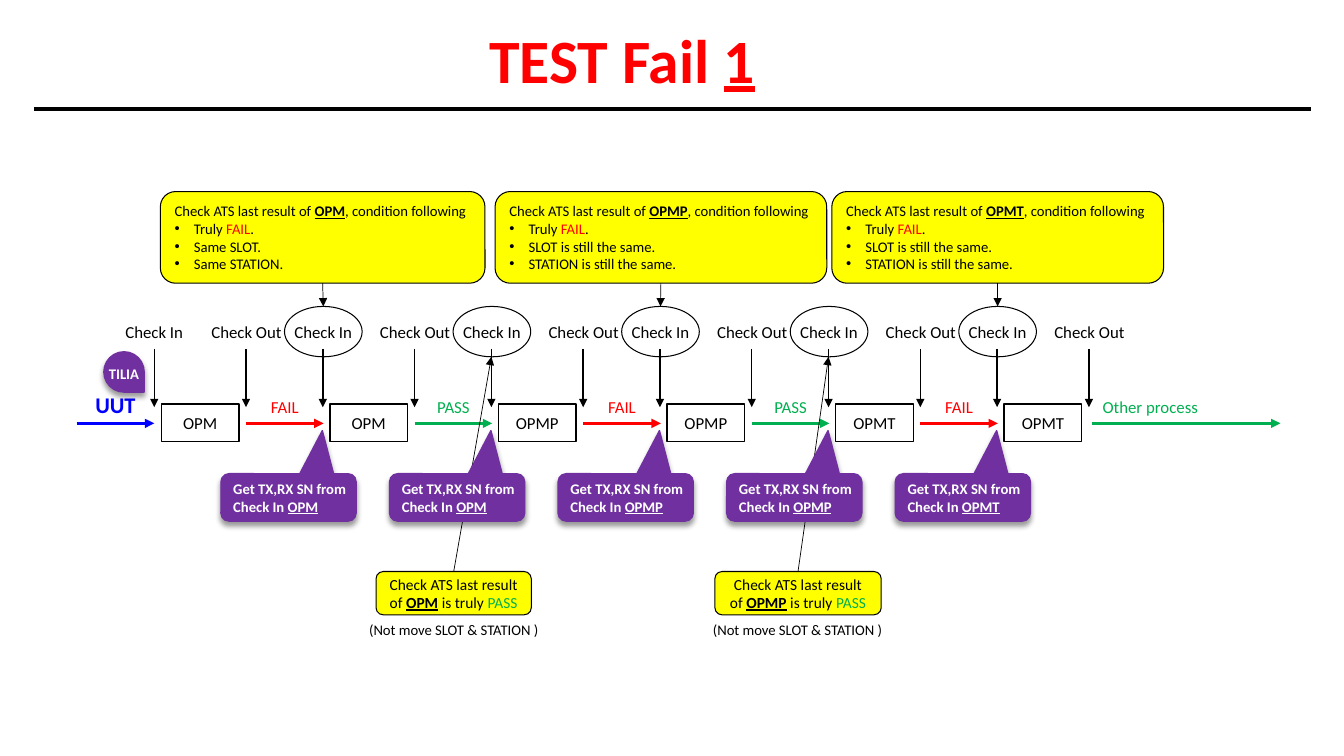
import pptx
import pptx.util
import pptx.dml.color
import pptx.enum.shapes
import pptx.enum.text
import pptx.oxml
import pptx.oxml.ns
from lxml import etree

Inches = pptx.util.Inches
Pt = pptx.util.Pt
RGB = pptx.dml.color.RGBColor.from_string
SHAPE = pptx.enum.shapes.MSO_SHAPE
ALIGN = pptx.enum.text.PP_ALIGN
MIDDLE = pptx.enum.text.MSO_ANCHOR.MIDDLE
qn = pptx.oxml.ns.qn
COLORS = {"black": "000000", "white": "FFFFFF", "red": "FF0000", "green": "00B050",
          "blue": "0000FF", "yellow": "FFFF00", "purple": "7030A0"}
RESULT_COLORS = {"FAIL": "red", "PASS": "green"}
SHADOW = ('<a:effectLst xmlns:a="http://schemas.openxmlformats.org/drawingml/2006/main">'
          '<a:outerShdw blurRad="50800" dist="38100" dir="5400000" rotWithShape="0">'
          '<a:srgbClr val="000000"><a:alpha val="40000"/></a:srgbClr>'
          '</a:outerShdw></a:effectLst>')

deck = pptx.Presentation()
deck.slide_width, deck.slide_height = Inches(13.33), Inches(7.5)
page = deck.slides.add_slide(deck.slide_layouts[5])


def add_box(kind, left, top, width, height, paragraphs=(), size=12, color="black",
            fill=None, line=None, line_width=1, align=ALIGN.CENTER, bold=False, wrap=False):
    """Add a shape, a text box (kind None) or the title (kind "title").

    Each paragraph is a list of (text, style); style is "", "underline", "strong" or a colour.
    """
    area = [Inches(value) for value in (left, top, width, height)]
    if kind == "title":
        box = page.shapes.title
        box.left, box.top, box.width, box.height = area
    elif kind is None:
        box = page.shapes.add_textbox(*area)
    else:
        box = page.shapes.add_shape(kind, *area)
        box.shadow.inherit = False
        box.line.color.rgb = RGB(COLORS[line])
        box.line.width = Pt(line_width)
        if fill:
            box.fill.solid()
            box.fill.fore_color.rgb = RGB(COLORS[fill])
        else:
            box.fill.background()
    frame = box.text_frame
    frame.word_wrap = wrap
    frame.vertical_anchor = MIDDLE
    for index, spans in enumerate(paragraphs):
        para = frame.add_paragraph() if index else frame.paragraphs[0]
        para.alignment = align
        para.font.name = "Calibri"
        para.font.size = Pt(size)
        para.font.bold = bold
        para.font.color.rgb = RGB(COLORS[color])
        for text, style in spans:
            span = para.add_run()
            span.text = text
            if style in COLORS:
                span.font.color.rgb = RGB(COLORS[style])
            elif style:
                span.font.underline = True
                span.font.bold = bold or style == "strong"
    return box


def add_line(x1, y1, x2, y2, color="black", width=1.0, arrow=True):
    line = page.shapes.add_connector(pptx.enum.shapes.MSO_CONNECTOR.STRAIGHT,
                                     Inches(x1), Inches(y1), Inches(x2), Inches(y2))
    line.line.color.rgb = RGB(COLORS[color])
    line.line.width = Pt(width)
    if arrow:
        etree.SubElement(line.line._get_or_add_ln(), qn("a:tailEnd"), type="triangle")
    etree.SubElement(line._element.spPr, qn("a:effectLst"))
    return line


# Title
add_box("title", 4.74, 0.16, 2.86, 0.84, [[("TEST Fail ", ""), ("1", "underline")]],
        size=44, color="red", bold=True)
add_line(0.34, 1.08, 13, 1.08, width=2.5, arrow=False)

# Process chain: stations, check-in and check-out arrows, results
stations = ["OPM", "OPM", "OPMP", "OPMP", "OPMT", "OPMT"]
results = ["FAIL", "PASS", "FAIL", "PASS", "FAIL"]
pitch = (9.96 - 1.6) / 5
station_lefts = [1.6 + pitch * step for step in range(len(stations))]

add_line(0.76, 4.2, 1.53, 4.2, "blue", 2.25)
add_box(None, 0.84, 3.83, 0.61, 0.37, [[("UUT", "")]], size=16, color="blue", bold=True)
add_box(None, 1.14, 3.14, 0.78, 0.3, [[("Check In", "")]])
check_ins = {}
for step, (station, left) in enumerate(zip(stations, station_lefts)):
    check_in, check_out = left - 0.07, left + 0.84
    add_box(SHAPE.RECTANGLE, left, 4.01, 0.77, 0.37, [[(station, "")]],
            fill="white", line="black")
    for x in (check_in, check_out):
        add_line(x, 3.46, x, 4.04)
    add_box(None, check_out - 0.45, 3.14, 0.91, 0.3, [[("Check Out", "")]])
    if step > 0:
        check_ins[step] = add_box(SHAPE.OVAL, check_in - 0.38, 3.04, 0.77, 0.5,
                                  [[("Check In", "")]], line="black", line_width=0.75)
    if step < len(results):
        result = results[step]
        add_line(check_out, 4.2, check_out + 0.77, 4.2, RESULT_COLORS[result], 2.25)
        add_box(None, check_out + 0.12, 3.89, 0.53, 0.3, [[(result, "")]],
                color=RESULT_COLORS[result])
add_line(10.83, 4.2, 12.7, 4.2, "green", 2.25)
add_box(None, 10.83, 3.89, 1.16, 0.3, [[("Other process", "")]], color="green")

# Conditions after a FAIL
same = ["SLOT is still the same.", "STATION is still the same."]
conditions = [(1, "OPM", 1.59, 3.22, ["Same SLOT.", "Same STATION."]),
              (3, "OPMP", 4.91, 3.29, same),
              (5, "OPMT", 8.25, 3.29, same)]
for step, station, left, width, rules in conditions:
    paragraphs = [[("Check ATS last result of ", ""), (station, "strong"),
                   (", condition following", "")],
                  [("Truly ", ""), ("FAIL", "red"), (".", "")]]
    paragraphs += [[(rule, "")] for rule in rules]
    condition = add_box(SHAPE.ROUNDED_RECTANGLE, left, 1.9, width, 0.91, paragraphs, size=10.5,
                        fill="yellow", line="black", line_width=0.75,
                        align=ALIGN.LEFT, wrap=True)
    for para in condition.text_frame.paragraphs[1:]:
        properties = para._p.get_or_add_pPr()
        properties.set("marL", str(Inches(0.19)))
        properties.set("indent", str(-Inches(0.19)))
        bullet_font = etree.Element(qn("a:buFont"), typeface="Arial")
        bullet = etree.Element(qn("a:buChar"), char="•")
        properties.insert(0, bullet_font)
        properties.insert(1, bullet)
    link = add_line(left + width / 2, 2.81, station_lefts[step] - 0.07, 3.04, width=0.5)
    link.begin_connect(condition, 2)
    link.end_connect(check_ins[step], 0)

# Notes after a PASS
for step, station, left, width, remark_left in [(2, "OPM", 3.73, 1.54, 3.49),
                                                (4, "OPMP", 7.09, 1.65, 6.9)]:
    note = add_box(SHAPE.ROUNDED_RECTANGLE, left, 5.67, width, 0.43,
                   [[("Check ATS last result of ", ""), (station, "strong"),
                     (" is truly ", ""), ("PASS", "green")]],
                   size=11, fill="yellow", line="black", line_width=0.75, wrap=True)
    link = add_line(left + width / 2, 5.67, station_lefts[step] - 0.07, 3.54, width=0.5)
    link.begin_connect(note, 0)
    add_box(None, remark_left, 6.1, 2.02, 0.29, [[("(Not move SLOT & STATION )", "")]],
            size=10.5, wrap=True)

# Purple serial-number callouts and vendor marker
purple_shapes = []
for station, next_left in zip(stations, station_lefts[1:]):
    callout = add_box(SHAPE.ROUNDED_RECTANGULAR_CALLOUT, next_left - 1.08, 4.7, 1.34, 0.47,
                      [[("Get TX,RX SN from", "")], [("Check In ", ""), (station, "underline")]],
                      size=10.5, color="white", fill="purple", line="purple",
                      align=ALIGN.LEFT, bold=True)
    for index, value in enumerate((0.25, -1.41, 0.17)):
        callout.adjustments[index] = value
    purple_shapes.append(callout)
marker = add_box(SHAPE.TEAR, 1.03, 3.49, 0.4, 0.4, fill="purple", line="purple")
marker.rotation = 90
purple_shapes.append(marker)
add_box(None, 0.83, 3.56, 0.8, 0.29, [[("TILIA", "")]], size=10.5, color="white", bold=True)
for shape in purple_shapes:
    properties = shape._element.spPr
    properties.replace(properties.find(qn("a:effectLst")), pptx.oxml.parse_xml(SHADOW))

deck.save("out.pptx")
